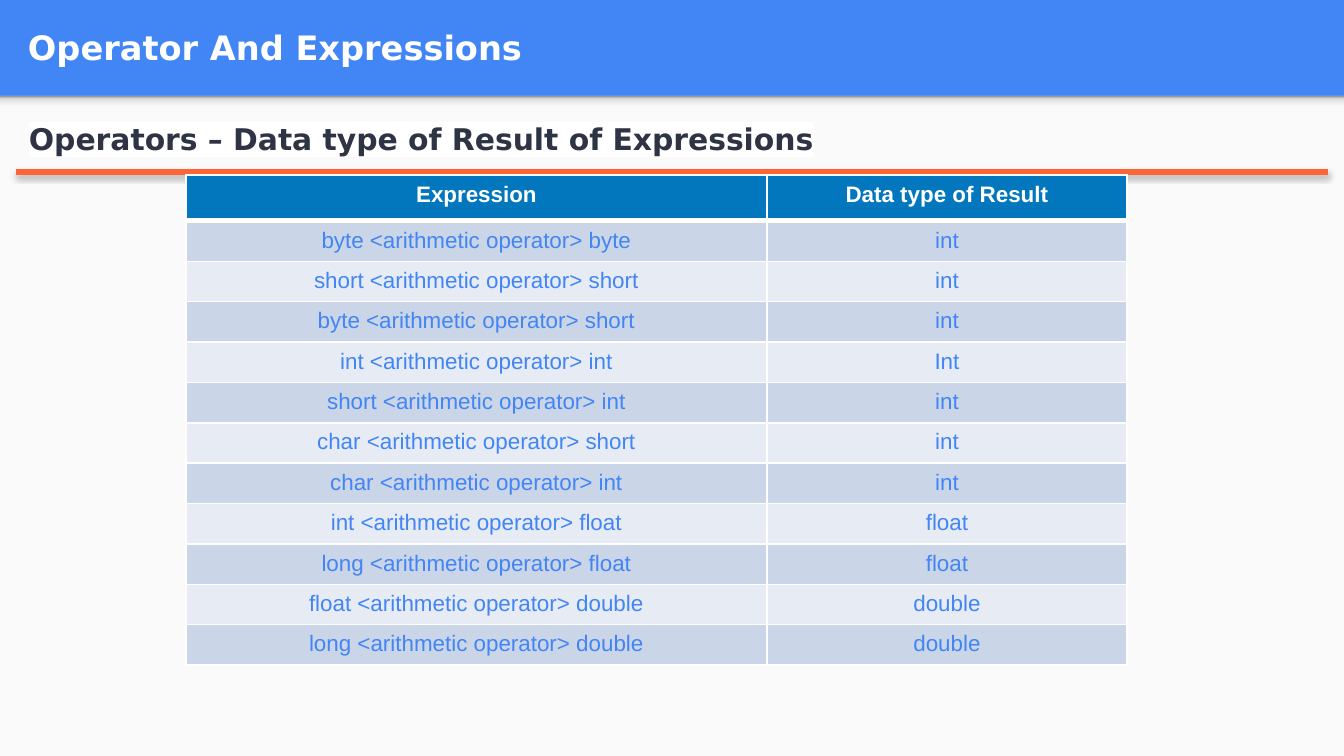
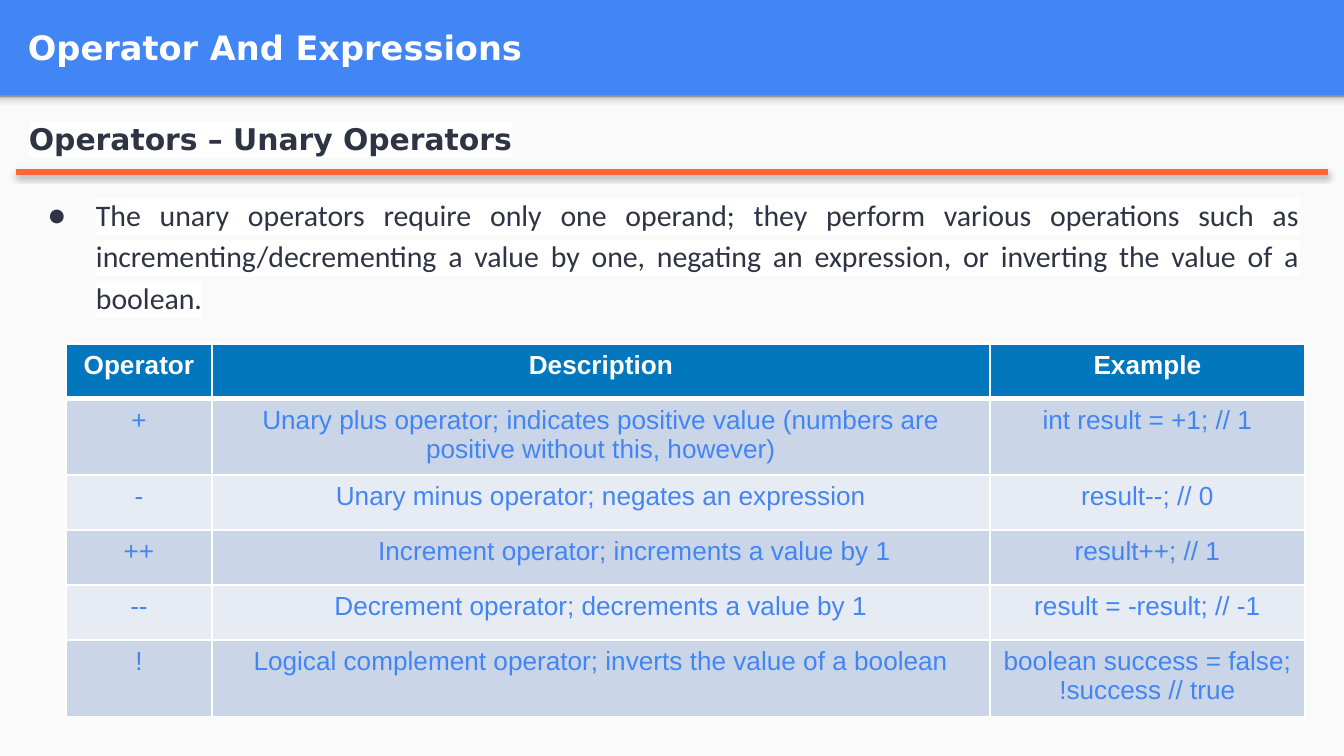
from lxml import etree
from pptx import Presentation
from pptx.dml.color import RGBColor
from pptx.enum.shapes import MSO_CONNECTOR, MSO_SHAPE
from pptx.enum.text import MSO_ANCHOR, MSO_AUTO_SIZE, PP_ALIGN
from pptx.oxml import parse_xml
from pptx.oxml.ns import qn
from pptx.util import Pt

RECT = MSO_SHAPE.RECTANGLE
LINE = MSO_CONNECTOR.STRAIGHT
MID, TOP = MSO_ANCHOR.MIDDLE, MSO_ANCHOR.TOP
GROW, FIXED = MSO_AUTO_SIZE.SHAPE_TO_FIT_TEXT, MSO_AUTO_SIZE.NONE
CENTER, JUST = PP_ALIGN.CENTER, PP_ALIGN.JUSTIFY

BLUE = RGBColor(0x42, 0x85, 0xF4)
PAPER = RGBColor(0xFA, 0xFA, 0xFA)
INK = RGBColor(0x2E, 0x34, 0x44)
ORANGE = RGBColor(0xFC, 0x65, 0x36)
HEAD = RGBColor(0x02, 0x77, 0xBD)
DARK = RGBColor(0xCA, 0xD5, 0xE7)
LIGHT = RGBColor(0xE6, 0xEB, 0xF4)
WHITE = RGBColor(0xFF, 0xFF, 0xFF)

NS = 'xmlns:a="http://schemas.openxmlformats.org/drawingml/2006/main"'
FADE = [(0, "F9F9F9"), (36, "F9F9F9"), (80, "DEDEDE"), (100, "999999")]
STOPS = "".join(f'<a:gs pos="{pos * 1000}"><a:srgbClr val="{tone}"/></a:gs>' for pos, tone in FADE)
GRAD = f'<a:gradFill {NS} rotWithShape="1"><a:gsLst>{STOPS}</a:gsLst><a:lin ang="16200000" scaled="0"/></a:gradFill>'
SHADE = (f'<a:effectLst {NS}><a:outerShdw blurRad="39370" dist="22860" dir="5400000" rotWithShape="0">'
         '<a:srgbClr val="000000"><a:alpha val="35000"/></a:srgbClr></a:outerShdw></a:effectLst>')
MARK = f'<a:highlight {NS}><a:srgbClr val="{WHITE}"/></a:highlight>'

TITLE = {"size": Pt(18), "name": "DejaVu Sans", "bold": True}
SUB = {"size": Pt(16), "name": "DejaVu Sans", "bold": True}
BODY = {"size": Pt(16), "name": "Calibri", "bold": False}


def px(*nums):
    return [round(n * 914400 / 134.4) for n in nums]


def write(para, text, look, color, mark=False):
    run = para.add_run()
    run.text = text
    for key, value in look.items():
        setattr(run.font, key, value)
    run.font.color.rgb = color
    if mark:
        run.font._element.find(qn("a:solidFill")).addnext(parse_xml(MARK))


PAIRS = [("byte", "byte", "int"), ("short", "short", "int"), ("byte", "short", "int"),
         ("int", "int", "Int"), ("short", "int", "int"), ("char", "short", "int"),
         ("char", "int", "int"), ("int", "float", "float"), ("long", "float", "float"),
         ("float", "double", "double"), ("long", "double", "double")]

PAGES = [
    {"sub": "Operators – Data type of Result of Expressions", "body": None, "tall": 105,
     "at": (186, 175), "cols": (581, 360), "rows": [46] + [34] * 11, "size": 12,
     "cells": [("Expression", "Data type of Result")]
     + [(f"{a} <arithmetic operator> {b}", kind) for a, b, kind in PAIRS]},
    {"sub": "Operators – Unary Operators", "tall": 266,
     "body": "The unary operators require only one operand; they perform various operations such as "
             "incrementing/decrementing a value by one, negating an expression, or inverting "
             "the value of a boolean.",
     "at": (66, 344), "cols": (146, 778, 315), "rows": [55] * 6, "size": 14,
     "cells": [("Operator", "Description", "Example"),
               ("+", "Unary plus operator; indicates positive value (numbers are positive "
                     "without this, however)", "int result = +1; // 1"),
               ("-", "Unary minus operator; negates an expression", "result--; // 0"),
               ("++", "\tIncrement operator; increments a value by 1", "result++; // 1"),
               ("--", "Decrement operator; decrements a value by 1", "result = -result; // -1"),
               ("!", "Logical complement operator; inverts the value of a boolean",
                "boolean success = false;\n!success // true")]},
]

deck = Presentation()
deck.slide_width, deck.slide_height = px(1344, 756)

for page in PAGES:
    slide = deck.slides.add_slide(deck.slide_layouts[6])
    back = slide.background.fill
    back.solid()
    back.fore_color.rgb = BLUE
    shapes = slide.shapes

    for top, tall in ((96, 660), (96, 16)):
        band = shapes.add_shape(RECT, *px(0, top, 1344, tall))
        band.shadow.inherit = False
        band.line.fill.background()
        band.fill.solid()
        band.fill.fore_color.rgb = PAPER
    fill = band._element.spPr.find(qn("a:solidFill"))
    fill.getparent().replace(fill, parse_xml(GRAD))

    frames = []
    for box, anchor, fit in (((15, 3, 1297, 89), MID, FIXED), ((16, 102, 1297, page["tall"]), TOP, GROW)):
        frame = shapes.add_textbox(*px(*box)).text_frame
        pad = px(13)[0]
        look = {"word_wrap": True, "vertical_anchor": anchor, "auto_size": fit, "margin_left": pad,
                "margin_right": pad, "margin_top": pad, "margin_bottom": pad}
        for key, value in look.items():
            setattr(frame, key, value)
        frames.append(frame)
    title, text = frames
    write(title.paragraphs[0], "Operator And Expressions", TITLE, WHITE)
    para = text.paragraphs[0]
    para.line_spacing = 1.15
    write(para, page["sub"], SUB, INK, True)

    if page["body"]:
        para = text.add_paragraph()
        for key, value in {"alignment": JUST, "line_spacing": 1.15, "space_before": Pt(19)}.items():
            setattr(para, key, value)
        write(para, page["body"], BODY, INK, True)
        props = para._p.get_or_add_pPr()
        for key, value in zip(("marL", "indent"), px(67, -48)):
            props.set(key, str(value))
        tint = etree.SubElement(props, qn("a:buClr"))
        etree.SubElement(tint, qn("a:srgbClr"), val=str(INK))
        etree.SubElement(props, qn("a:buFont"), typeface="Calibri")
        etree.SubElement(props, qn("a:buChar"), char="●")

    rule = shapes.add_connector(LINE, *px(16, 172, 1328, 172))
    rule.line.color.rgb = ORANGE
    rule.line.width = Pt(3)
    rule._element.spPr.append(parse_xml(SHADE))

    cols, rows, cells = page["cols"], page["rows"], page["cells"]
    grid = shapes.add_table(len(rows), len(cols), *px(*page["at"], sum(cols), sum(rows))).table
    grid.horz_banding = False
    for col, wide in zip(grid.columns, px(*cols)):
        col.width = wide
    for r, (row, tall) in enumerate(zip(grid.rows, px(*rows))):
        row.height = tall
        first = r == 0
        shade = HEAD if first else DARK if r % 2 else LIGHT
        look = {"size": Pt(page["size"]), "name": "Arial", "bold": first}
        for cell, words in zip(row.cells, cells[r]):
            frame = cell.text_frame
            for n, part in enumerate(words.split("\n")):
                para = frame.add_paragraph() if n else frame.paragraphs[0]
                para.alignment = CENTER
                write(para, part, look, WHITE if first else BLUE)
            props = cell._tc.get_or_add_tcPr()
            for side in ("lnL", "lnR", "lnT", "lnB"):
                heavy = (first and side == "lnB") or (r == 1 and side == "lnT")
                edge = etree.SubElement(props, qn("a:" + side), w=str(Pt(3 if heavy else 1)))
                paint = etree.SubElement(edge, qn("a:solidFill"))
                etree.SubElement(paint, qn("a:srgbClr"), val=str(WHITE))
            cell.fill.solid()
            cell.fill.fore_color.rgb = shade

deck.save("out.pptx")
